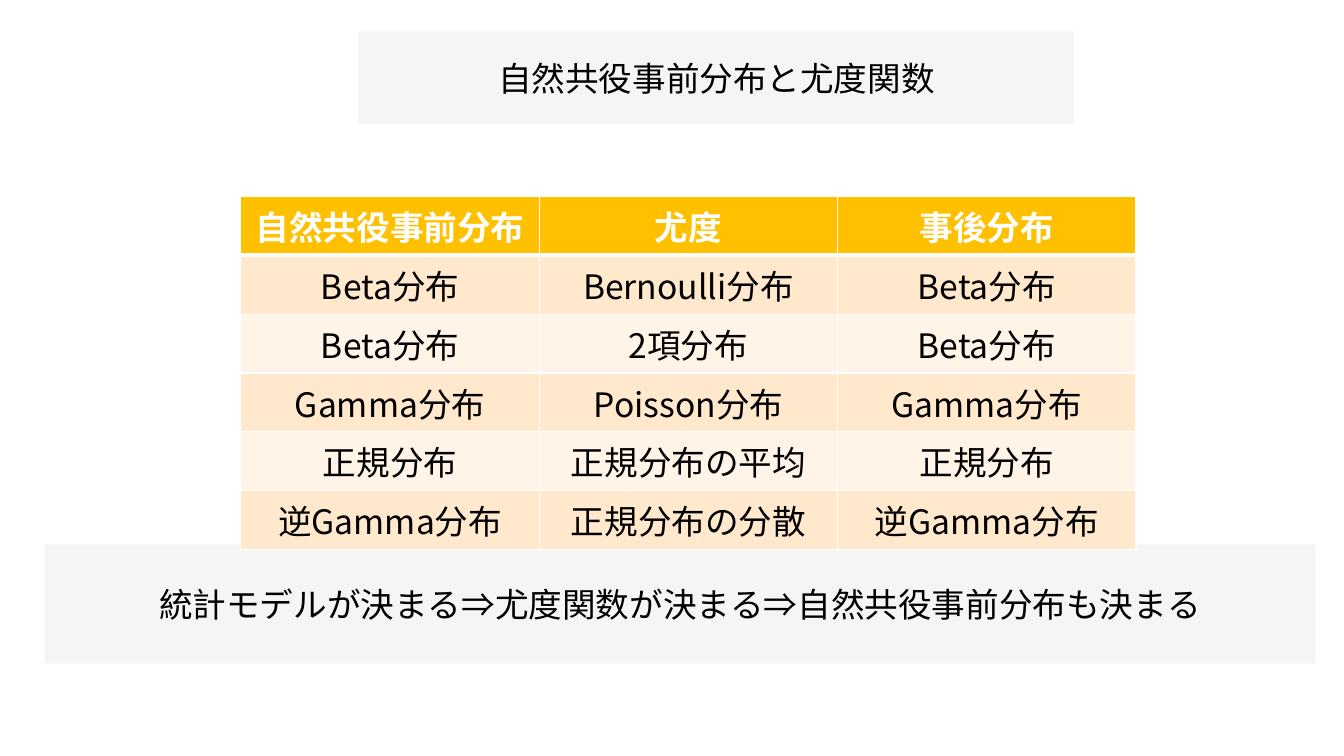
from dataclasses import dataclass

from lxml.etree import SubElement
from pptx import Presentation
from pptx.dml.color import RGBColor
from pptx.dml.fill import FillFormat
from pptx.enum.shapes import MSO_SHAPE
from pptx.enum.text import MSO_ANCHOR, PP_ALIGN
from pptx.oxml import parse_xml
from pptx.oxml.ns import nsdecls, qn
from pptx.slide import Slide
from pptx.table import _Cell
from pptx.text.text import TextFrame
from pptx.util import Cm, Pt

FONT = "Noto Sans CJK JP"
BLACK = "000000"
WHITE = "FFFFFF"
HEADER_FILL = "FFC000"
BAND_FILLS = ("FFF4E7", "FFE8CC")
PANEL_FILL = "EDEDED"

TABLE_LEFT, TABLE_TOP = 6.07, 4.95
COLUMN_WIDTH, ROW_HEIGHT = 7.52, 1.48

ROWS = (
    ("自然共役事前分布", "尤度", "事後分布"),
    ("Beta分布", "Bernoulli分布", "Beta分布"),
    ("Beta分布", "2項分布", "Beta分布"),
    ("Gamma分布", "Poisson分布", "Gamma分布"),
    ("正規分布", "正規分布の平均", "正規分布"),
    ("逆Gamma分布", "正規分布の分散", "逆Gamma分布"),
)


@dataclass(frozen=True)
class Panel:
    text: str
    left: float
    top: float
    width: float
    height: float


PANELS = (
    Panel("統計モデルが決まる⇒尤度関数が決まる⇒自然共役事前分布も決まる",
          1.12, 13.72, 32.03, 3.0),
    Panel("自然共役事前分布と尤度関数", 9.04, 0.79, 18.03, 2.34),
)


def set_fill(fill: FillFormat, color: str) -> None:
    fill.solid()
    fill.fore_color.rgb = RGBColor.from_string(color)


def write_text(frame: TextFrame, text: str, color: str, bold: bool = False) -> None:
    paragraph = frame.paragraphs[0]
    paragraph.alignment = PP_ALIGN.CENTER
    run = paragraph.add_run()
    run.text = text
    run.font.name = FONT
    run.font.size = Pt(24)
    run.font.bold = bold
    run.font.color.rgb = RGBColor.from_string(color)
    SubElement(run.font._element, qn("a:ea"), typeface=FONT)


def add_panel(slide: Slide, panel: Panel) -> None:
    shape = slide.shapes.add_shape(
        MSO_SHAPE.RECTANGLE,
        Cm(panel.left), Cm(panel.top), Cm(panel.width), Cm(panel.height))
    shape.shadow.inherit = False
    shape.line.fill.background()
    set_fill(shape.fill, PANEL_FILL)
    color = shape._element.spPr.find(f"{qn('a:solidFill')}/{qn('a:srgbClr')}")
    SubElement(color, qn("a:alpha"), val="50000")
    shape.text_frame.word_wrap = True
    shape.text_frame.vertical_anchor = MSO_ANCHOR.MIDDLE
    write_text(shape.text_frame, panel.text, BLACK)


def set_borders(cell: _Cell, top: float, bottom: float) -> None:
    """Draw white borders, 1 pt at the sides; they must precede the cell's fill."""
    properties = cell._tc.get_or_add_tcPr()
    widths = {"lnL": 1, "lnR": 1, "lnT": top, "lnB": bottom}
    for position, (tag, width) in enumerate(widths.items()):
        properties.insert(position, parse_xml(
            f'<a:{tag} {nsdecls("a")} w="{Pt(width)}"><a:solidFill>'
            f'<a:srgbClr val="{WHITE}"/></a:solidFill></a:{tag}>'))


def add_distribution_table(slide: Slide) -> None:
    column_count = len(ROWS[0])
    table = slide.shapes.add_table(
        len(ROWS), column_count, Cm(TABLE_LEFT), Cm(TABLE_TOP),
        Cm(COLUMN_WIDTH * column_count), Cm(ROW_HEIGHT * len(ROWS))).table
    for column in table.columns:
        column.width = Cm(COLUMN_WIDTH)
    for row_index, texts in enumerate(ROWS):
        table.rows[row_index].height = Cm(ROW_HEIGHT)
        is_header = row_index == 0
        for column_index, text in enumerate(texts):
            cell = table.cell(row_index, column_index)
            set_fill(cell.fill, HEADER_FILL if is_header else BAND_FILLS[row_index % 2])
            set_borders(cell, top=3 if row_index == 1 else 1, bottom=3 if is_header else 1)
            write_text(cell.text_frame, text, WHITE if is_header else BLACK, is_header)


def main() -> None:
    presentation = Presentation()
    presentation.slide_width = Cm(33.87)
    presentation.slide_height = Cm(19.05)
    slide = presentation.slides.add_slide(presentation.slide_layouts[6])
    for panel in PANELS:
        add_panel(slide, panel)
    add_distribution_table(slide)
    presentation.save("out.pptx")


if __name__ == "__main__":
    main()
